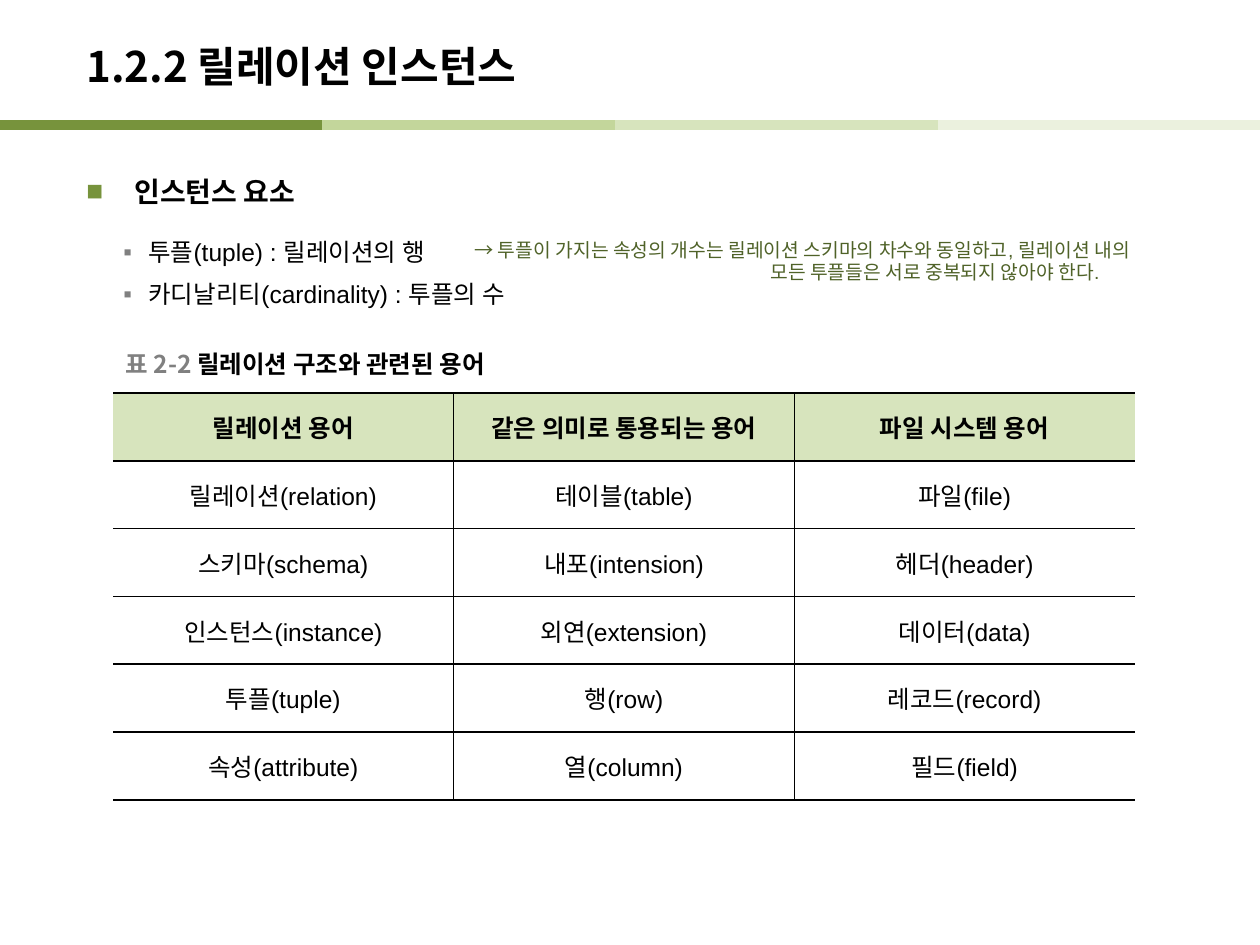
"""Build the slide on relation instances with its table of equivalent terms."""
from lxml import etree
from pptx import Presentation, util as u
from pptx.dml.color import RGBColor
from pptx.enum import shapes, text
from pptx.oxml.ns import qn

PX = 914400 / 126
KOREAN = "Noto Sans CJK KR"


def px(*lengths):
    return [u.Emu(round(length * PX)) for length in lengths]


def style(paragraph, size, color="000000", bold=False, name="Arial"):
    for run in paragraph.runs:
        run.font.size, run.font.bold, run.font.name = u.Pt(size), bold, name
        run.font.color.rgb = RGBColor.from_string(color)
        latin = run._r.rPr.find(qn("a:latin"))
        east_asian = etree.Element(qn("a:ea"), typeface=KOREAN)
        latin.addnext(east_asian)


presentation = Presentation()
presentation.slide_width, presentation.slide_height = px(1260, 945)
slide = presentation.slides.add_slide(presentation.slide_layouts[6])

bands = [(292, 615, "C3D69B"), (615, 938, "D7E4BD"), (938, 1260, "EBF1DE"), (0, 322, "77933C")]
for start, end, color in bands:
    band = slide.shapes.add_connector(shapes.MSO_CONNECTOR.STRAIGHT, *px(start, 125, end, 125))
    band.line.color.rgb = RGBColor.from_string(color)
    band.line.width = u.Pt(6)
    etree.SubElement(band._element.spPr, qn("a:effectLst"))

boxes = {}
for name, bounds, anchor in [
    ("title", (74, 28, 1042, 76), text.MSO_ANCHOR.MIDDLE),
    ("body", (74, 153, 1111, 170), text.MSO_ANCHOR.TOP),
    ("caption", (113, 344, 500, 39), text.MSO_ANCHOR.MIDDLE),
    ("note", (462, 216, 797, 90), text.MSO_ANCHOR.MIDDLE),
]:
    box = slide.shapes.add_textbox(*px(*bounds))
    box.text_frame.word_wrap = True
    box.text_frame.vertical_anchor = anchor
    boxes[name] = box.text_frame

boxes["title"].text = "1.2.2 릴레이션 인스턴스"
style(boxes["title"].paragraphs[0], 24, bold=True, name=KOREAN)

body_lines = [
    ("인스턴스 요소", "■", "77933C", 48, 48, 16, 28, 0, 0),
    ("투플(tuple) : 릴레이션의 행", "▪", "808080", 62, 25, 14, 20, 13.5, 4),
    ("카디날리티(cardinality) : 투플의 수", "▪", "808080", 62, 25, 14, 20, 0, 4),
]
boxes["body"].text = "\n".join(line[0] for line in body_lines)
for paragraph, line in zip(boxes["body"].paragraphs, body_lines):
    _, bullet, color, margin, hanging, size, height, before, after = line
    properties = paragraph._p.get_or_add_pPr()
    margin, hanging = px(margin, hanging)
    properties.set("marL", str(margin))
    properties.set("indent", str(-hanging))
    bullet_color = etree.SubElement(properties, qn("a:buClr"))
    etree.SubElement(bullet_color, qn("a:srgbClr"), val=color)
    etree.SubElement(properties, qn("a:buFont"), typeface="Arial")
    etree.SubElement(properties, qn("a:buChar"), char=bullet)
    paragraph.line_spacing = u.Pt(height)
    paragraph.space_before, paragraph.space_after = u.Pt(before), u.Pt(after)
    style(paragraph, size, bold=size == 16)

rows = [
    ("릴레이션 용어", "같은 의미로 통용되는 용어", "파일 시스템 용어"),
    ("릴레이션(relation)", "테이블(table)", "파일(file)"),
    ("스키마(schema)", "내포(intension)", "헤더(header)"),
    ("인스턴스(instance)", "외연(extension)", "데이터(data)"),
    ("투플(tuple)", "행(row)", "레코드(record)"),
    ("속성(attribute)", "열(column)", "필드(field)"),
]
table = slide.shapes.add_table(len(rows), 3, *px(113, 393, 1022, 407)).table
for row_index, row in enumerate(rows):
    header = row_index == 0
    for column_index, term in enumerate(row):
        cell = table.cell(row_index, column_index)
        cell.text = term
        cell.vertical_anchor = text.MSO_ANCHOR.MIDDLE
        paragraph = cell.text_frame.paragraphs[0]
        paragraph.alignment = text.PP_ALIGN.CENTER
        style(paragraph, 14, bold=header, name=KOREAN if header else "Arial")
        properties = cell._tc.get_or_add_tcPr()
        outer = {"lnL": column_index == 0, "lnR": column_index == 2}
        for side in ("lnL", "lnR", "lnT", "lnB"):
            border = etree.SubElement(properties, qn(f"a:{side}"), w=str(u.Pt(1)))
            if outer.get(side):
                etree.SubElement(border, qn("a:noFill"))
            else:
                fill = etree.SubElement(border, qn("a:solidFill"))
                etree.SubElement(fill, qn("a:srgbClr"), val="000000")
        cell.fill.solid()
        cell.fill.fore_color.rgb = RGBColor.from_string("D7E4BD" if header else "FFFFFF")

caption = boxes["caption"].paragraphs[0]
caption.text = "표 2-2 "
caption.add_run().text = "릴레이션 구조와 관련된 용어"
style(caption, 14, bold=True, name=KOREAN)
caption.runs[0].font.color.rgb = RGBColor.from_string("808080")

note = boxes["note"]
note.text = (
    "→ 투플이 가지는 속성의 개수는 릴레이션 스키마의 차수와 동일하고, 릴레이션 내의\n"
    "모든 투플들은 서로 중복되지 않아야 한다."
)
for paragraph, margin in zip(note.paragraphs, px(0, 296)):
    paragraph._p.get_or_add_pPr().set("marL", str(margin))
    paragraph.line_spacing = u.Pt(13)
    style(paragraph, 11, "4F6228")

presentation.save("out.pptx")
